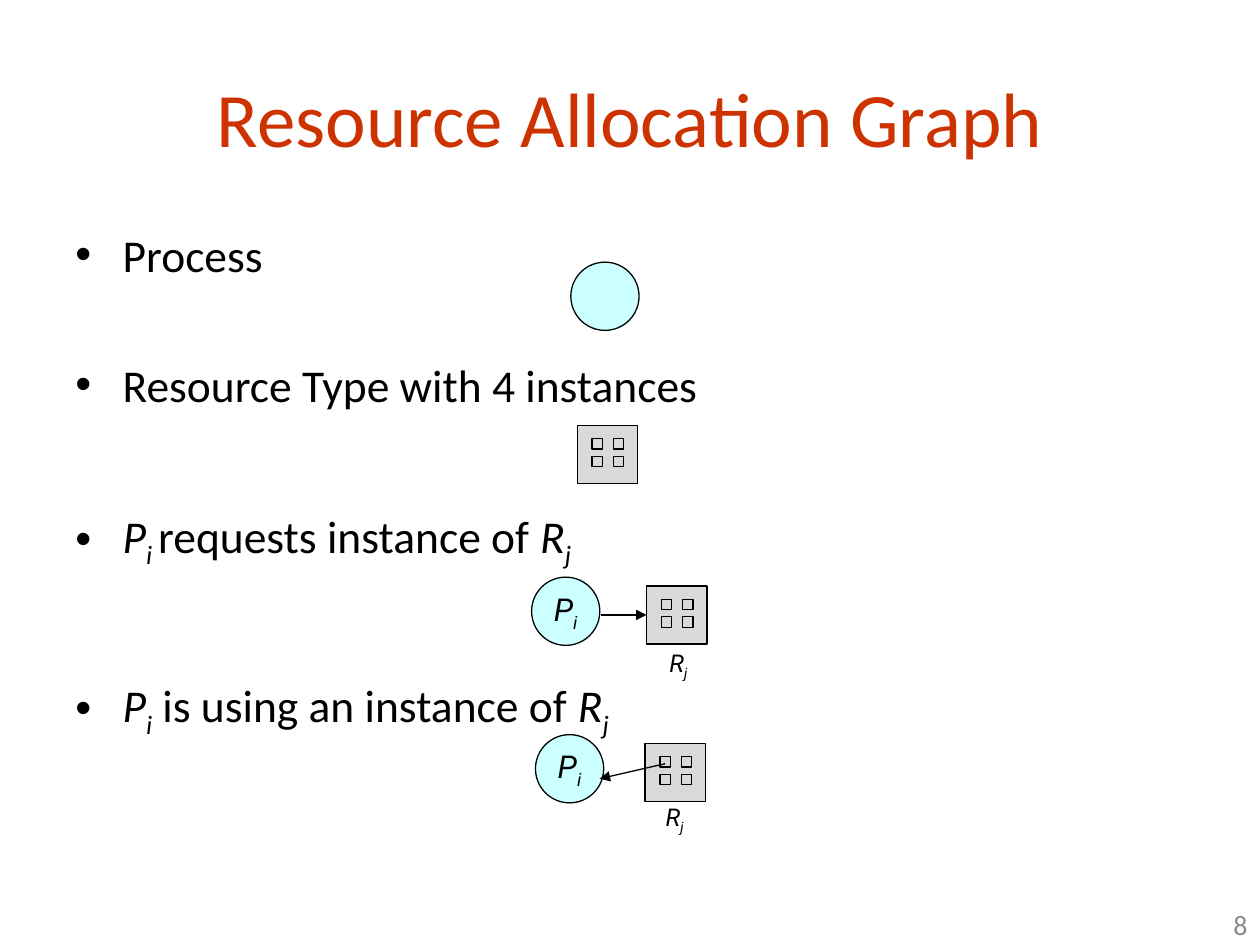
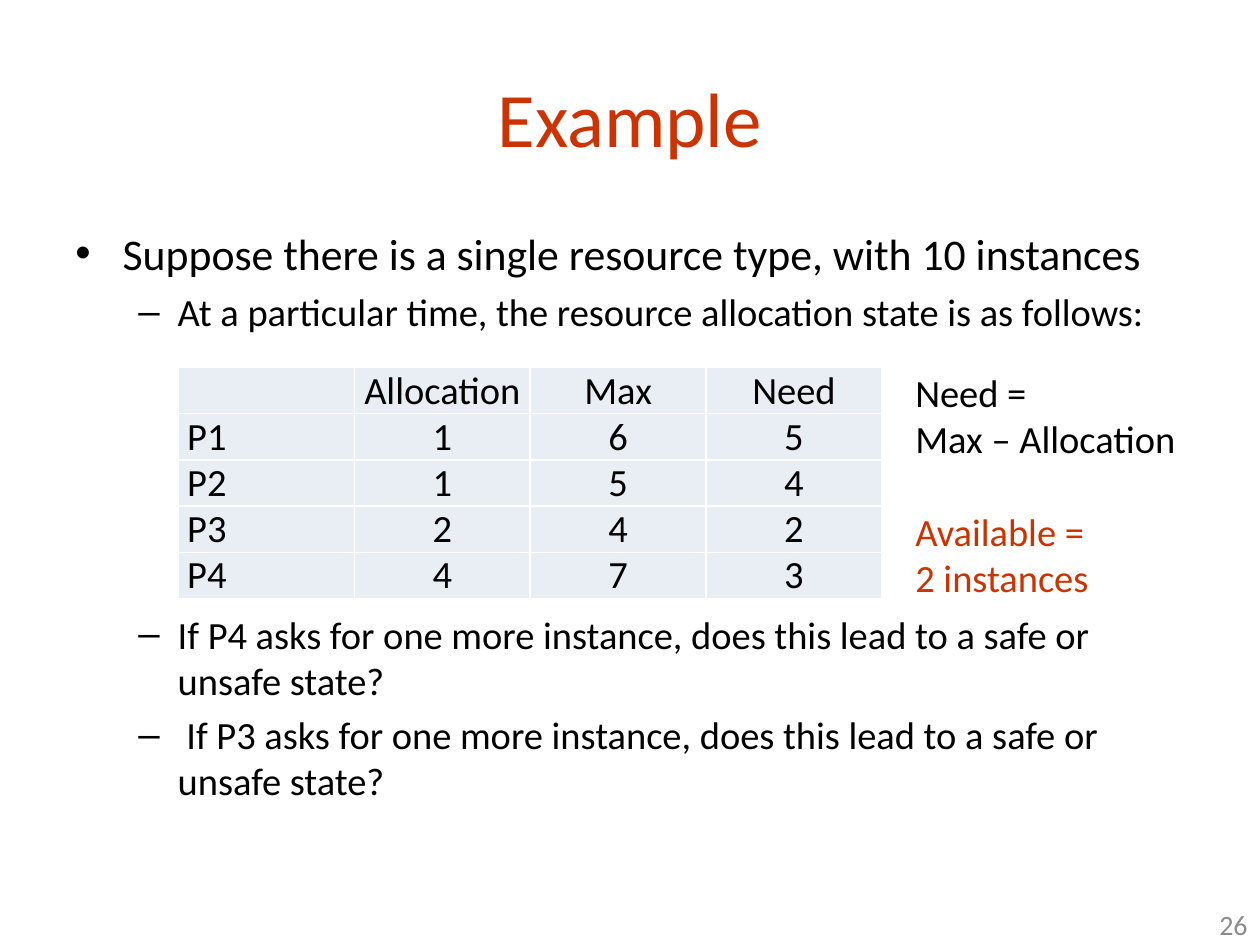
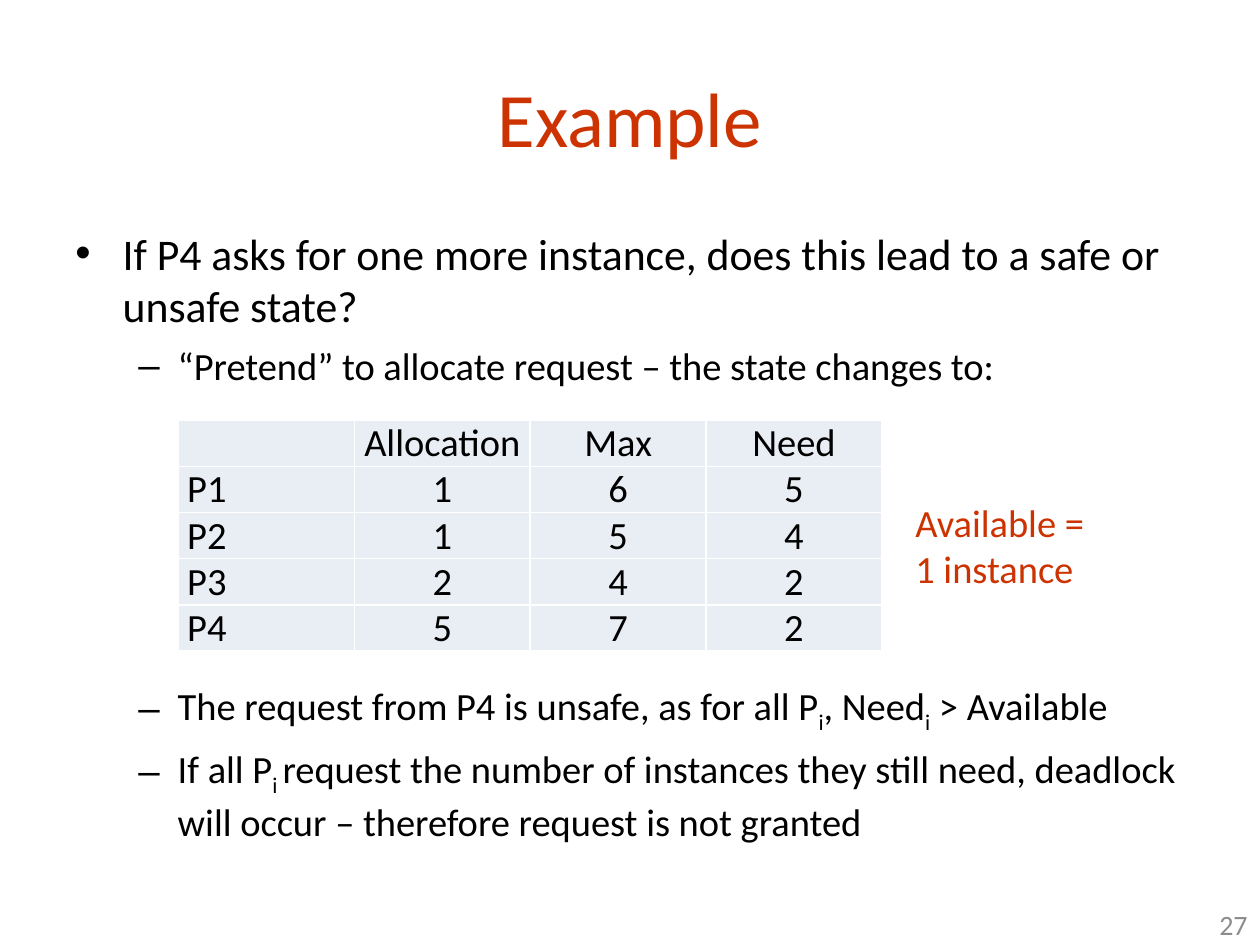
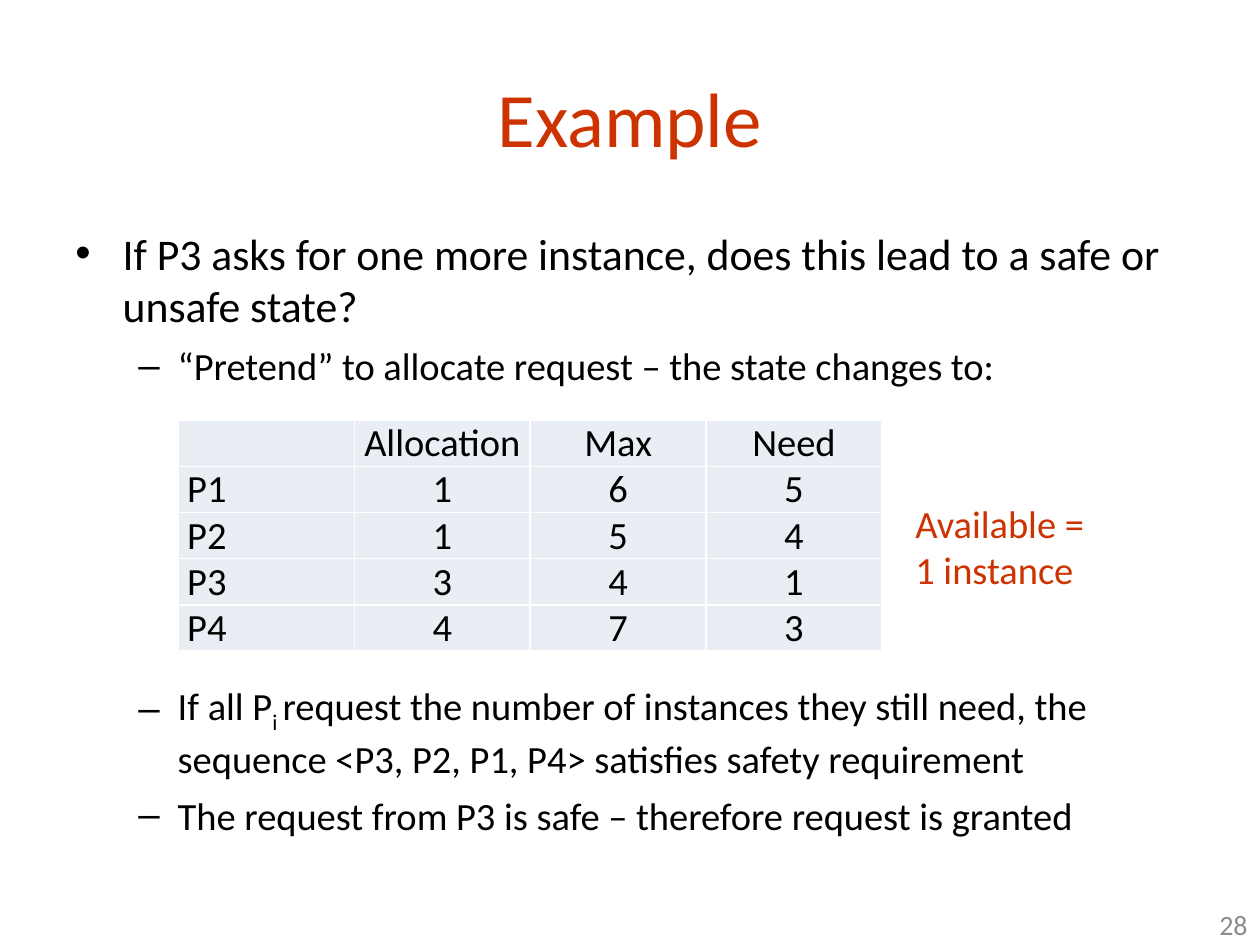
from lxml.etree import SubElement
from pptx import Presentation
from pptx.dml.color import RGBColor
from pptx.enum.shapes import MSO_CONNECTOR, MSO_SHAPE
from pptx.enum.text import MSO_ANCHOR, PP_ALIGN
from pptx.oxml.ns import qn
from pptx.util import Pt

RED = RGBColor(0xCC, 0x33, 0x00)
BLACK = RGBColor(0, 0, 0)
GREY = RGBColor(0x8C, 0x8C, 0x8C)
AQUA = RGBColor(0xCC, 0xFF, 0xFF)
SILVER = RGBColor(0xD9, 0xD9, 0xD9)
PALE = RGBColor(0xE9, 0xED, 0xF4)

BODY = (36, 126, 648, 360)
INDENT = {"•": (27, -27), "–": (58.5, -22.5)}
PROC = [("P", "i"), ("i", "is")]
RES = [("R", "i"), ("j", "is")]
DISC = 39
CRATE = (34.6, 33.2)
DOT = 6


def write(frame, text, size=22, font="Calibri", color=BLACK,
          align=PP_ALIGN.LEFT, space=0, mark=None):
    para = frame.paragraphs[0]
    if para.runs:
        para = frame.add_paragraph()
    para.alignment = align
    para.space_before = Pt(space)
    if mark:
        left, hang = INDENT[mark]
        props = para._p.get_or_add_pPr()
        props.set("marL", str(Pt(left)))
        props.set("indent", str(Pt(hang)))
        SubElement(props, qn("a:buFont")).set("typeface", "Arial")
        SubElement(props, qn("a:buChar")).set("char", mark)
    for part, style in [(text, "")] if isinstance(text, str) else text:
        run = para.add_run()
        run.text = part
        run.font.size = Pt(size)
        run.font.name = font
        run.font.color.rgb = color
        run.font.italic = "i" in style
        if "s" in style:
            run._r.get_or_add_rPr().set("baseline", "-25000")


def panel(slide, box, anchor=MSO_ANCHOR.TOP, wrap=True):
    frame = slide.shapes.add_textbox(*map(Pt, box)).text_frame
    frame.word_wrap = wrap
    frame.vertical_anchor = anchor
    return frame


def page(deck, title, number):
    slide = deck.slides.add_slide(deck.slide_layouts[6])
    write(panel(slide, (570, 516, 150, 24), MSO_ANCHOR.MIDDLE), str(number),
          size=16, color=GREY, align=PP_ALIGN.RIGHT)
    write(panel(slide, (36, 21.6, 648, 90), MSO_ANCHOR.MIDDLE), title,
          size=44, color=RED, align=PP_ALIGN.CENTER)
    return slide


def solid(shapes, kind, box, fill):
    shape = shapes.add_shape(kind, *map(Pt, box))
    shape.shadow.inherit = False
    shape.fill.solid()
    shape.fill.fore_color.rgb = fill
    shape.line.color.rgb = BLACK
    shape.line.width = Pt(0.75)
    return shape


def process(slide, x, y, label=None):
    disc = solid(slide.shapes, MSO_SHAPE.OVAL, (x, y, DISC, DISC), AQUA)
    if label:
        frame = disc.text_frame
        frame.word_wrap = False
        frame.vertical_anchor = MSO_ANCHOR.MIDDLE
        write(frame, label, size=18, font="Roboto", align=PP_ALIGN.CENTER)


def crate(slide, x, y):
    shapes = slide.shapes.add_group_shape().shapes
    outer = solid(shapes, MSO_SHAPE.RECTANGLE, (x, y, *CRATE), SILVER)
    for row in range(2):
        for col in range(2):
            spot = (x + 8.5 + 12.2 * col, y + 7.6 + 10.1 * row, DOT, DOT)
            solid(shapes, MSO_SHAPE.RECTANGLE, spot, SILVER)
    return outer


def arrow(slide, start, end):
    line = slide.shapes.add_connector(
        MSO_CONNECTOR.STRAIGHT, *map(Pt, (*start, *end)))
    line.line.color.rgb = BLACK
    line.line.width = Pt(0.75)
    SubElement(line.line._get_or_add_ln(), qn("a:tailEnd")).set("type", "triangle")
    SubElement(line._element.spPr, qn("a:effectLst"))
    return line


def tag(slide, x, y):
    frame = panel(slide, (x, y, 26.6, 23.8), MSO_ANCHOR.MIDDLE, wrap=False)
    write(frame, RES, size=14, font="Roboto", align=PP_ALIGN.CENTER)


def request(slide, x, y):
    process(slide, x, y, PROC)
    left, top = x + 65.6, y + 5
    outer = crate(slide, left, top)
    mid = top + CRATE[1] / 2
    arrow(slide, (x + DISC + 0.6, mid), (left, mid)).end_connect(outer, 1)
    tag(slide, left + 5, top + 33)


def usage(slide, x, y):
    process(slide, x, y, PROC)
    left, top = x + 62.6, y + 5
    crate(slide, left, top)
    arrow(slide, (left + 11.5, top + 11.6), (x + 36.7, y + 25.2))
    tag(slide, left + 3.6, top + 31)


def legend(deck):
    slide = page(deck, "Resource Allocation Graph", 8)
    frame = panel(slide, BODY)
    items = [
        ("Process", 0),
        ("Resource Type with 4 instances", 43.2),
        ([("P", "i"), ("i ", "is"), ("requests instance of ", ""), *RES], 55.2),
        ([*PROC, (" is using an instance of ", ""), *RES], 61.2),
    ]
    for text, space in items:
        write(frame, text, size=26, space=space, mark="•")
    process(slide, 326.2, 149.8)
    crate(slide, 329.8, 243)
    request(slide, 303.8, 329.8)
    usage(slide, 306, 419.8)


def grid(slide, x, y, rows):
    cells = [["", "Allocation", "Max", "Need"]]
    cells += [[f"P{n}", *row] for n, row in enumerate(rows, 1)]
    table = slide.shapes.add_table(
        len(cells), 4, *map(Pt, (x, y, 402, 132))).table
    table.first_row = table.horz_banding = False
    for r, row in enumerate(cells):
        for c, value in enumerate(row):
            cell = table.cell(r, c)
            cell.margin_left = cell.margin_right = Pt(5)
            cell.margin_top = cell.margin_bottom = 0
            write(cell.text_frame, str(value),
                  align=PP_ALIGN.CENTER if c or not r else PP_ALIGN.LEFT)
            border(cell)
            cell.fill.solid()
            cell.fill.fore_color.rgb = PALE


def border(cell):
    props = cell._tc.get_or_add_tcPr()
    for side in ("lnL", "lnR", "lnT", "lnB"):
        line = SubElement(props, qn("a:" + side), w=str(Pt(1)))
        fill = SubElement(line, qn("a:solidFill"))
        SubElement(fill, qn("a:srgbClr")).set("val", "FFFFFF")


def example(deck, number, lines, rows, top, note, notes):
    slide = page(deck, "Example", number)
    frame = panel(slide, BODY)
    for text, mark, space in lines:
        write(frame, text, size=25 if mark == "•" else 22, space=space, mark=mark)
    grid(slide, 102, top, rows)
    side = panel(slide, (516, *note))
    for text, color, space in notes:
        write(side, text, color=color, space=space)


def main():
    deck = Presentation()
    deck.slide_width, deck.slide_height = Pt(720), Pt(540)
    legend(deck)

    ask = "If {} asks for one more instance, does this lead to a safe or unsafe state?"
    ask3, ask4 = ask.format("P3"), ask.format("P4")
    pretend = "“Pretend” to allocate request – the state changes to:"
    every = [("If all P", ""), ("i ", "s")]
    still = "request the number of instances they still need, "
    left = [("Available =", RED, 0), ("1 instance", RED, 0)]

    example(deck, 26, [
        ("Suppose there is a single resource type, with 10 instances", "•", 0),
        ("At a particular time, the resource allocation state is as follows:", "–", 5),
        (ask4, "–", 158),
        (" " + ask3, "–", 4.4),
    ], [(1, 6, 5), (1, 5, 4), (2, 4, 2), (4, 7, 3)], 210, (207.4, 174, 140.4), [
        ("Need =", BLACK, 0),
        ("Max – Allocation", BLACK, 0),
        ("Available =", RED, 26.4),
        ("2 instances", RED, 0),
    ])
    example(deck, 27, [
        (ask4, "•", 0),
        (pretend, "–", 6),
        ([("The request from P4 is unsafe, as for all P", ""), ("i", "s"),
          (", Need", ""), ("i", "s"), (" > Available", "")], "–", 168),
        ([*every, (still + "deadlock will occur – therefore request is not granted", "")],
         "–", 6),
    ], [(1, 6, 5), (1, 5, 4), (2, 4, 2), (5, 7, 2)], 240, (281.5, 174, 60.5), left)
    example(deck, 28, [
        (ask3, "•", 0),
        (pretend, "–", 6),
        ([*every, (still + "the sequence <P3, P2, P1, P4> satisfies safety requirement", "")],
         "–", 168),
        ("The request from P3 is safe – therefore request is granted", "–", 6),
    ], [(1, 6, 5), (1, 5, 4), (3, 4, 1), (4, 7, 3)], 240, (282, 174, 60.5), left)
    deck.save("out.pptx")


if __name__ == "__main__":
    main()
